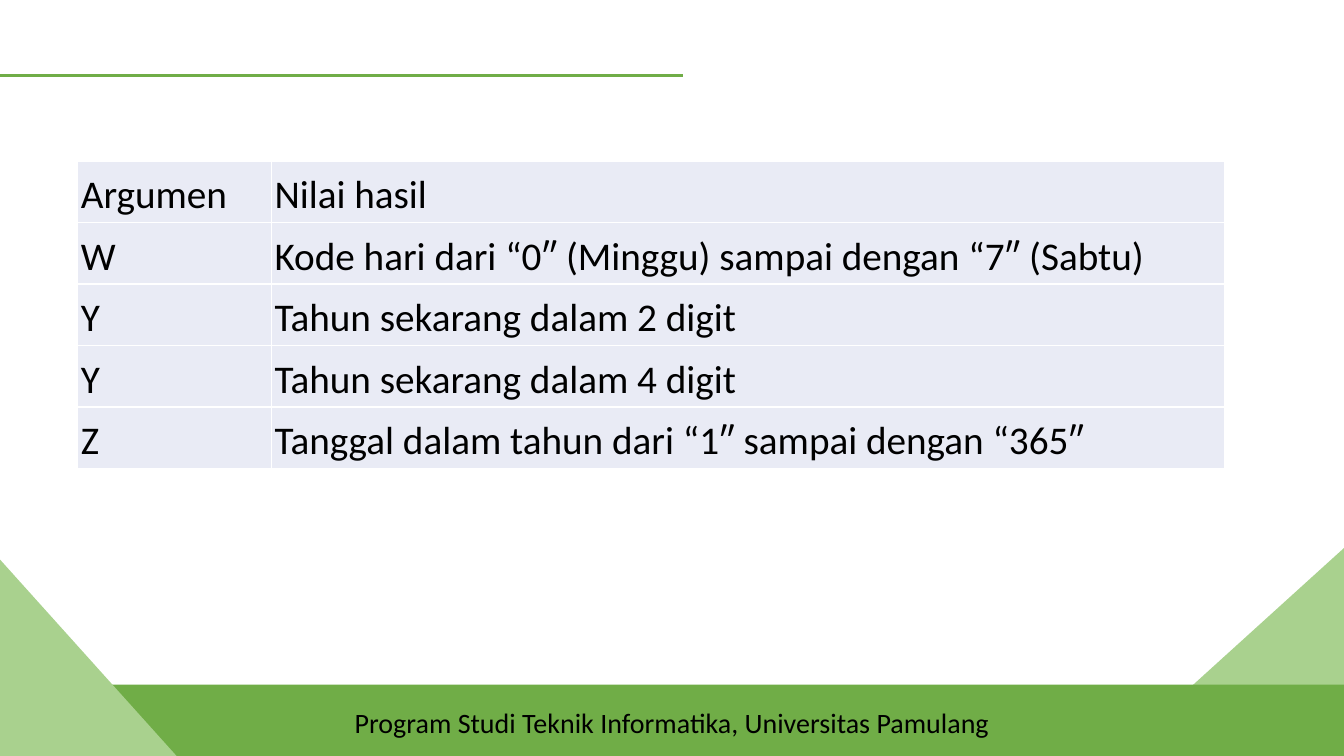
from lxml.etree import SubElement
from pptx import Presentation
from pptx.dml.color import RGBColor
from pptx.enum.shapes import MSO_CONNECTOR, MSO_SHAPE
from pptx.enum.text import MSO_ANCHOR, PP_ALIGN
from pptx.oxml import parse_xml
from pptx.oxml.ns import nsdecls, qn
from pptx.util import Cm, Pt

GREEN = RGBColor(0x70, 0xAD, 0x47)
LIGHT = RGBColor(0xA9, 0xD1, 0x8E)
PALE = RGBColor(0xE9, 0xEB, 0xF5)
BLACK = RGBColor(0, 0, 0)
WHITE = RGBColor(0xFF, 0xFF, 0xFF)
FONT = "Calibri"
WIDE, HIGH = Cm(33.87), Cm(19.05)

ROWS = [
    ("Argumen", "Nilai hasil"),
    ("W", "Kode hari dari “0″ (Minggu) sampai dengan “7″ (Sabtu)"),
    ("Y", "Tahun sekarang dalam 2 digit"),
    ("Y", "Tahun sekarang dalam 4 digit"),
    ("Z", "Tanggal dalam tahun dari “1″ sampai dengan “365″"),
]


def add_run(para, text, size):
    run = para.add_run()
    run.text = text
    run.font.name = FONT
    run.font.size = Pt(size)
    run.font.color.rgb = BLACK


def add_flat(slide, kind, box, color):
    """Add a preset shape with a plain fill, no line and no shadow."""
    shape = slide.shapes.add_shape(kind, *box)
    shape.shadow.inherit = False
    shape.fill.solid()
    shape.fill.fore_color.rgb = color
    shape.line.fill.background()
    return shape


def add_rule(slide, left, top, width):
    rule = slide.shapes.add_connector(
        MSO_CONNECTOR.STRAIGHT, left, top, left + width, top)
    rule.line.color.rgb = GREEN
    rule.line.width = Pt(2.25)
    SubElement(rule.element.spPr, qn("a:effectLst"))


def add_footer(slide, left, top, width, height):
    """Place the green band between its two corner triangles."""
    base = top + height
    side, rise = Cm(5.23), Cm(5.77)
    right = add_flat(slide, MSO_SHAPE.RIGHT_TRIANGLE,
                     (left + width - Cm(5.5), base - Cm(5.51), side, rise), LIGHT)
    right.rotation = 270

    band = add_flat(slide, MSO_SHAPE.RECTANGLE, (left, top, width, height), GREEN)
    frame = band.text_frame
    frame.word_wrap = True
    frame.vertical_anchor = MSO_ANCHOR.MIDDLE
    frame.margin_top = Cm(0.21)
    para = frame.paragraphs[0]
    para.alignment = PP_ALIGN.CENTER
    add_run(para, "Program Studi Teknik Informatika, Universitas Pamulang", 20)

    tall = Cm(4.95)
    add_flat(slide, MSO_SHAPE.RIGHT_TRIANGLE,
             (left, base - tall, Cm(4.45), tall), LIGHT)


def add_edges(cell):
    """Draw thin white borders on all four sides of a cell."""
    props = cell._tc.get_or_add_tcPr()
    for place, side in enumerate(("lnL", "lnR", "lnT", "lnB")):
        props.insert(place, parse_xml(
            f'<a:{side} {nsdecls("a")} w="{Pt(1)}"><a:solidFill>'
            f'<a:srgbClr val="{WHITE}"/></a:solidFill></a:{side}>'))


def fill_cell(cell, text):
    cell.fill.solid()
    cell.fill.fore_color.rgb = PALE
    cell.vertical_anchor = MSO_ANCHOR.MIDDLE
    cell.margin_left = cell.margin_right = Cm(0.08)
    cell.margin_top = cell.margin_bottom = Cm(0.08)
    para = cell.text_frame.paragraphs[0]
    para.line_spacing = 1.15
    para.space_after = Pt(10)
    add_run(para, text, 28)
    add_edges(cell)


def add_grid(slide, left, top, width, height):
    """Place the table of arguments and their results."""
    table = slide.shapes.add_table(
        len(ROWS), 2, left, top, width, height).table
    first = Cm(4.88)
    table.columns[0].width = first
    table.columns[1].width = width - first
    for row, texts in enumerate(ROWS):
        for col, text in enumerate(texts):
            fill_cell(table.cell(row, col), text)


def main():
    deck = Presentation()
    deck.slide_width, deck.slide_height = WIDE, HIGH
    slide = deck.slides.add_slide(deck.slide_layouts[6])
    band = Cm(1.8)
    add_footer(slide, 0, HIGH - band, WIDE, band)
    add_rule(slide, 0, Cm(1.9), Cm(17.2))
    add_grid(slide, Cm(1.96), Cm(4.06), Cm(28.91), Cm(7.7))
    deck.save("out.pptx")


if __name__ == "__main__":
    main()
